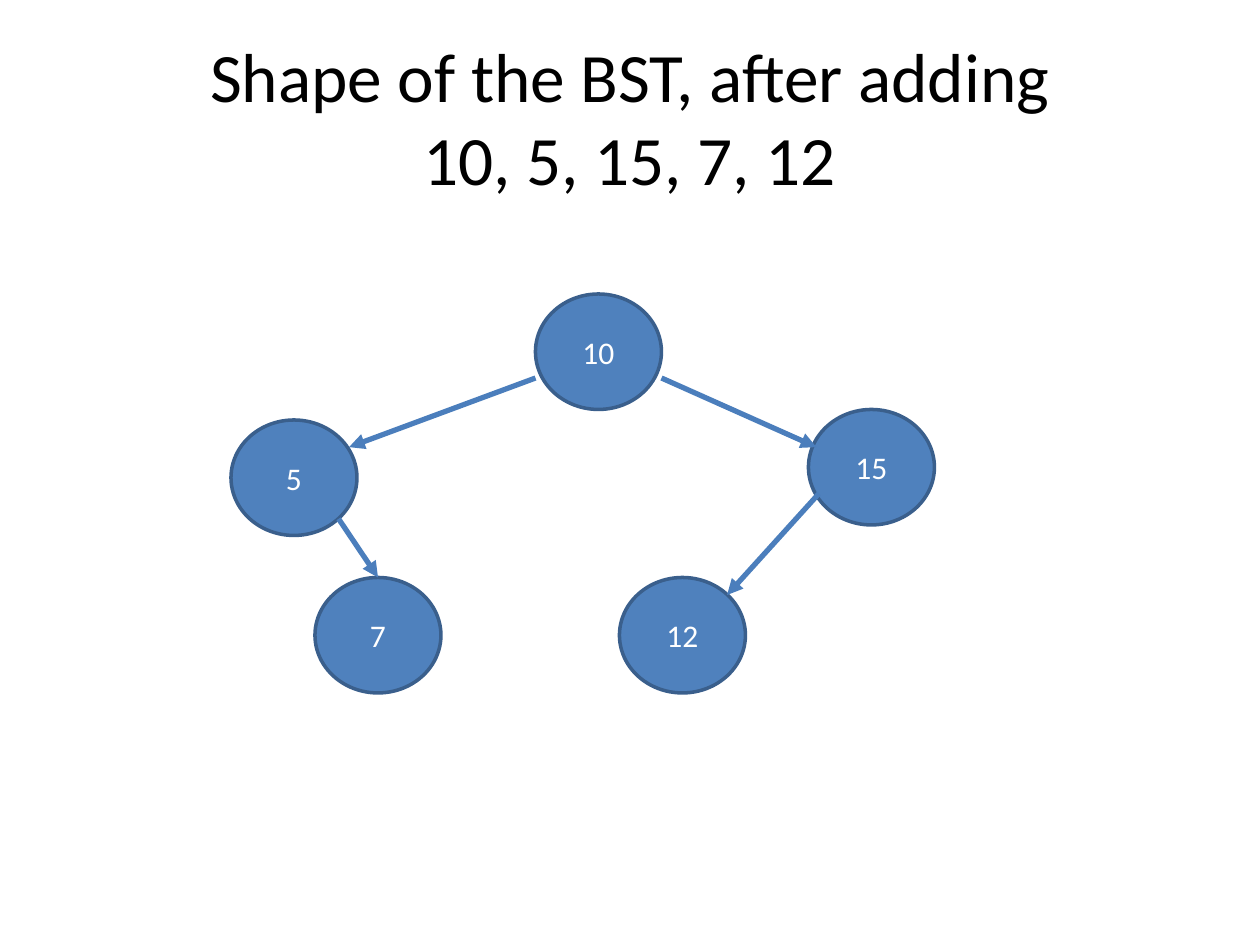
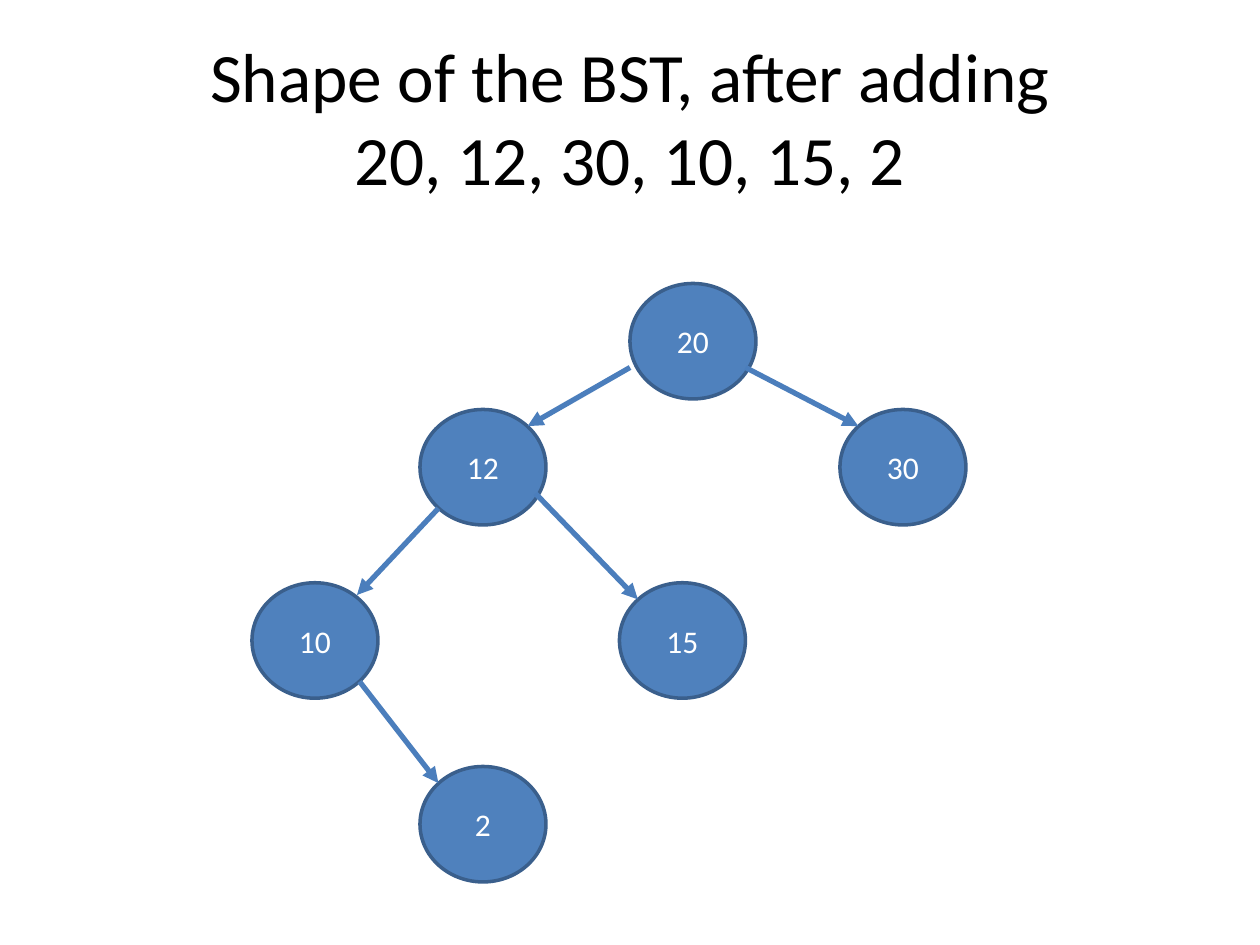
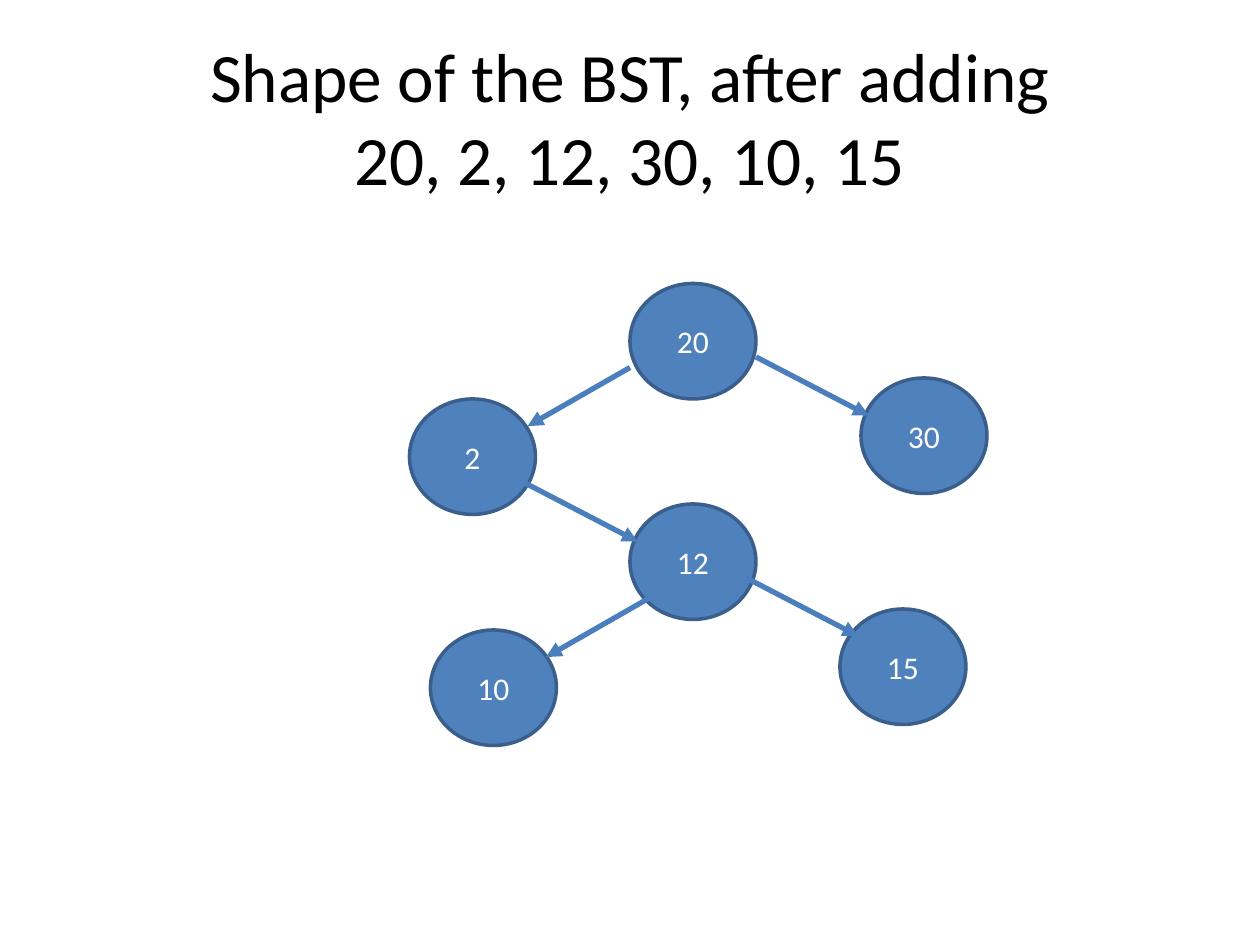
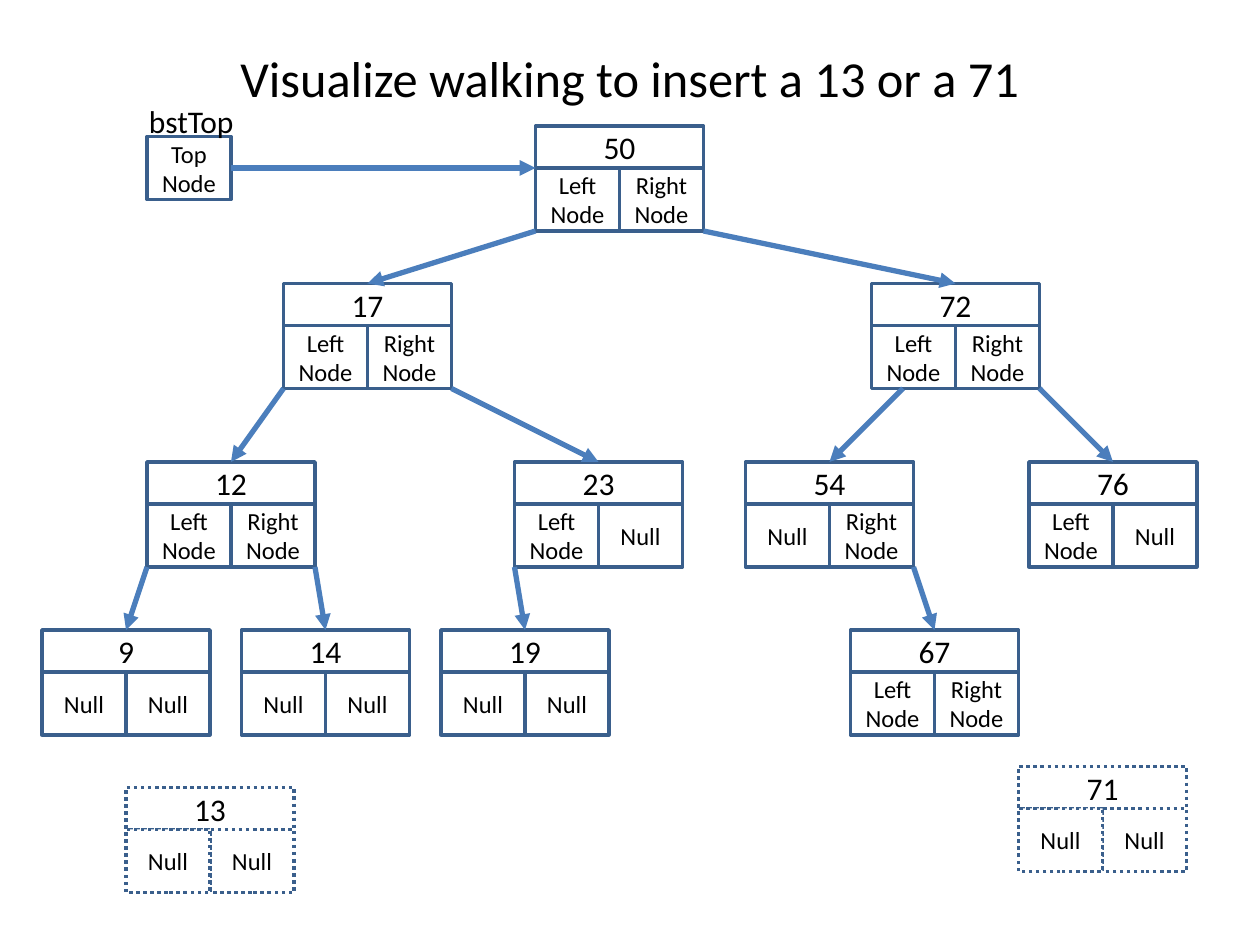
from lxml import etree
from pptx import Presentation
from pptx.dml.color import RGBColor
from pptx.enum.dml import MSO_LINE
from pptx.enum.shapes import MSO_CONNECTOR, MSO_SHAPE
from pptx.enum.text import MSO_ANCHOR, MSO_AUTO_SIZE, PP_ALIGN
from pptx.oxml.ns import qn
from pptx.util import Pt

FONT = "Calibri"
BLACK, WHITE = "000000", "FFFFFF"
NODE_FILL, OUTLINE, ARROW = "4F81BD", "3A5F8C", "4B7EBC"
OVAL_W, OVAL_H = 72, 66
CELL_W, CELL_H, HEAD_H = 48, 36, 24
LEFT, RIGHT, NULL = "Left Node", "Right Node", "Null"

# Each tree: values added, oval positions, arrows as (x1, y1, x2, y2)
OVAL_TREES = [
    ("10, 5, 15, 7, 12",
     {"10": (306, 168), "5": (132, 240), "15": (462, 234),
      "7": (180, 330), "12": (354, 330)},
     [(306, 216, 199.5, 255.5), (378, 216, 466.5, 255.5),
      (468, 282, 415.5, 340), (193.5, 296.5, 216, 330)]),
    ("20, 12, 30, 10, 15, 2",
     {"20": (360, 162), "12": (240, 234), "30": (480, 234),
      "10": (144, 333), "15": (354, 333), "2": (240, 438)},
     [(360, 210, 301.5, 243.5), (426, 210, 490.5, 243.5),
      (250.5, 290.5, 204, 340), (306, 282, 364.5, 342.5),
      (205.5, 389.5, 250.5, 447.5)]),
    ("20, 2, 12, 30, 10, 15",
     {"20": (360, 162), "2": (234, 228), "12": (360, 288),
      "30": (492, 216), "10": (246, 360), "15": (480, 348)},
     [(360, 210, 301.5, 243.5), (432, 204, 496.5, 237.5),
      (300, 276, 364.5, 309.5), (370.5, 342, 312, 375.5),
      (426, 330, 490.5, 363.5)]),
]

# Value: (x, y, left cell, right cell)
RECORDS = {
    "50": (306, 72, LEFT, RIGHT),
    "17": (162, 162, LEFT, RIGHT),
    "72": (498, 162, LEFT, RIGHT),
    "12": (84, 264, LEFT, RIGHT),
    "23": (294, 264, LEFT, NULL),
    "54": (426, 264, NULL, RIGHT),
    "76": (588, 264, LEFT, NULL),
    "14": (138, 360, NULL, NULL),
    "67": (486, 360, LEFT, RIGHT),
    "9": (24, 360, NULL, NULL),
    "19": (252, 360, NULL, NULL),
}
CANDIDATES = {"13": (72, 450, NULL, NULL), "71": (582, 438, NULL, NULL)}
# Parent, distance of the arrow's start from the parent's left edge, child
LINKS = [
    ("50", 0, "17"), ("50", 96, "72"), ("72", 96, "76"), ("17", 0, "12"),
    ("17", 96, "23"), ("72", 18, "54"), ("54", 96, "67"), ("12", 0, "9"),
    ("12", 96, "14"), ("23", 0, "19"),
]


def rgb(value):
    return RGBColor.from_string(value)


def add_run(p, text, size, color):
    r = p.add_run()
    r.text = text
    r.font.name = FONT
    r.font.size = Pt(size)
    r.font.color.rgb = rgb(color)


def add_title_slide(prs, lines, size, height):
    s = prs.slides.add_slide(prs.slide_layouts[5])
    title = s.shapes.title
    title.left, title.top = Pt(36), Pt(21.6)
    title.width, title.height = Pt(648), Pt(height)
    tf = title.text_frame
    tf.auto_size = MSO_AUTO_SIZE.NONE
    tf.vertical_anchor = MSO_ANCHOR.MIDDLE
    p = tf.paragraphs[0]
    p.alignment = PP_ALIGN.CENTER
    for i, line in enumerate(lines):
        if i:
            p.add_line_break()
        add_run(p, line, size, BLACK)
    return s


def add_node(shapes, kind, box, lines, size, color, fill=None, dotted=False):
    """Add an outlined shape with one centred paragraph per line."""
    sp = shapes.add_shape(kind, *map(Pt, box))
    sp.shadow.inherit = False
    if fill:
        sp.fill.solid()
        sp.fill.fore_color.rgb = rgb(fill)
    else:
        sp.fill.background()
    sp.line.color.rgb = rgb(OUTLINE)
    sp.line.width = Pt(2)
    if dotted:
        sp.line.dash_style = MSO_LINE.ROUND_DOT
    tf = sp.text_frame
    tf.word_wrap = True
    tf.vertical_anchor = MSO_ANCHOR.MIDDLE
    for i, line in enumerate(lines):
        p = tf.add_paragraph() if i else tf.paragraphs[0]
        p.alignment = PP_ALIGN.CENTER
        add_run(p, line, size, color)
    return sp


def add_arrow(s, x1, y1, x2, y2):
    line = s.shapes.add_connector(MSO_CONNECTOR.STRAIGHT,
                                  Pt(x1), Pt(y1), Pt(x2), Pt(y2))
    line.line.color.rgb = rgb(ARROW)
    line.line.width = Pt(3)
    etree.SubElement(line.line._get_or_add_ln(), qn("a:tailEnd"), type="triangle")
    etree.SubElement(line._element.spPr, qn("a:effectLst"))
    return line


def add_record(s, value, x, y, left, right, dotted=False):
    """Add a value box above its two child cells; return the value box."""
    shapes = s.shapes.add_group_shape().shapes

    def add_cell(box, text, size):
        return add_node(shapes, MSO_SHAPE.RECTANGLE, box, [text], size,
                        BLACK, WHITE, dotted)

    head = add_cell((x, y, 2 * CELL_W, HEAD_H), value, 18)
    add_cell((x + CELL_W, y + HEAD_H, CELL_W, CELL_H), right, 14)
    add_cell((x, y + HEAD_H, CELL_W, CELL_H), left, 14)
    return head


def add_label(s, box, text):
    tf = s.shapes.add_textbox(*map(Pt, box)).text_frame
    tf.word_wrap = False
    tf.auto_size = MSO_AUTO_SIZE.SHAPE_TO_FIT_TEXT
    add_run(tf.paragraphs[0], text, 18, BLACK)


def add_oval_tree(prs, values, nodes, arrows):
    s = add_title_slide(prs, ["Shape of the BST, after adding", values], 39.6, 90)
    for value, (x, y) in nodes.items():
        add_node(s.shapes, MSO_SHAPE.OVAL, (x, y, OVAL_W, OVAL_H), [value],
                 18, WHITE, NODE_FILL)
    for ends in arrows:
        add_arrow(s, *ends)


def add_record_tree(prs):
    s = add_title_slide(prs, ["Visualize walking to insert a 13 or a 71"], 28.8, 45)
    top = add_node(s.shapes, MSO_SHAPE.RECTANGLE, (84, 78, CELL_W, CELL_H),
                   ["Top", "Node"], 14, BLACK)
    add_label(s, (78, 54.5, 63, 29), "bstTop")
    heads = {value: add_record(s, value, *record)
             for value, record in RECORDS.items()}
    add_arrow(s, 132, 96, 306, 96).begin_connect(top, 3)
    for parent, dx, child in LINKS:
        px, py = RECORDS[parent][:2]
        cx, cy = RECORDS[child][:2]
        arrow = add_arrow(s, px + dx, py + HEAD_H + CELL_H, cx + CELL_W, cy)
        arrow.end_connect(heads[child], 0)
    for value, record in CANDIDATES.items():
        add_record(s, value, *record, dotted=True)


def main():
    prs = Presentation()
    prs.slide_width, prs.slide_height = Pt(720), Pt(540)
    for tree in OVAL_TREES:
        add_oval_tree(prs, *tree)
    add_record_tree(prs)
    prs.save("out.pptx")


if __name__ == "__main__":
    main()
